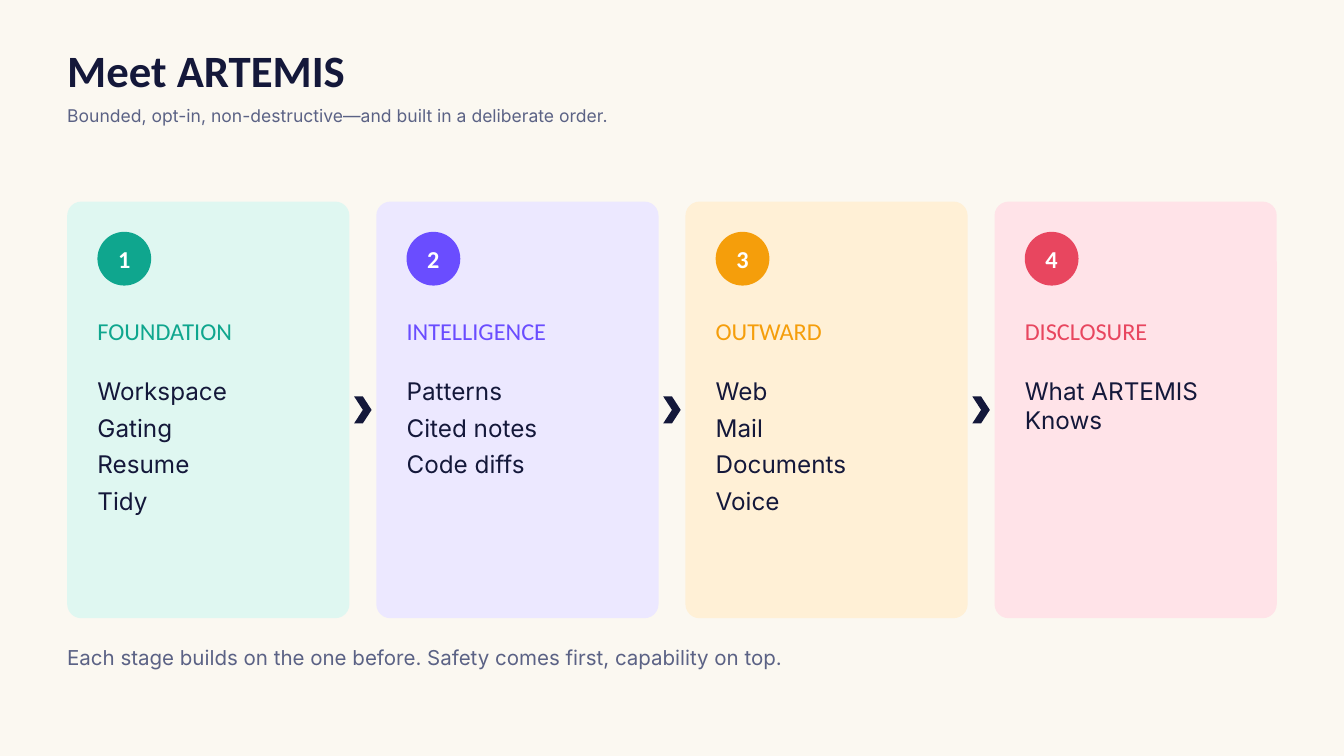
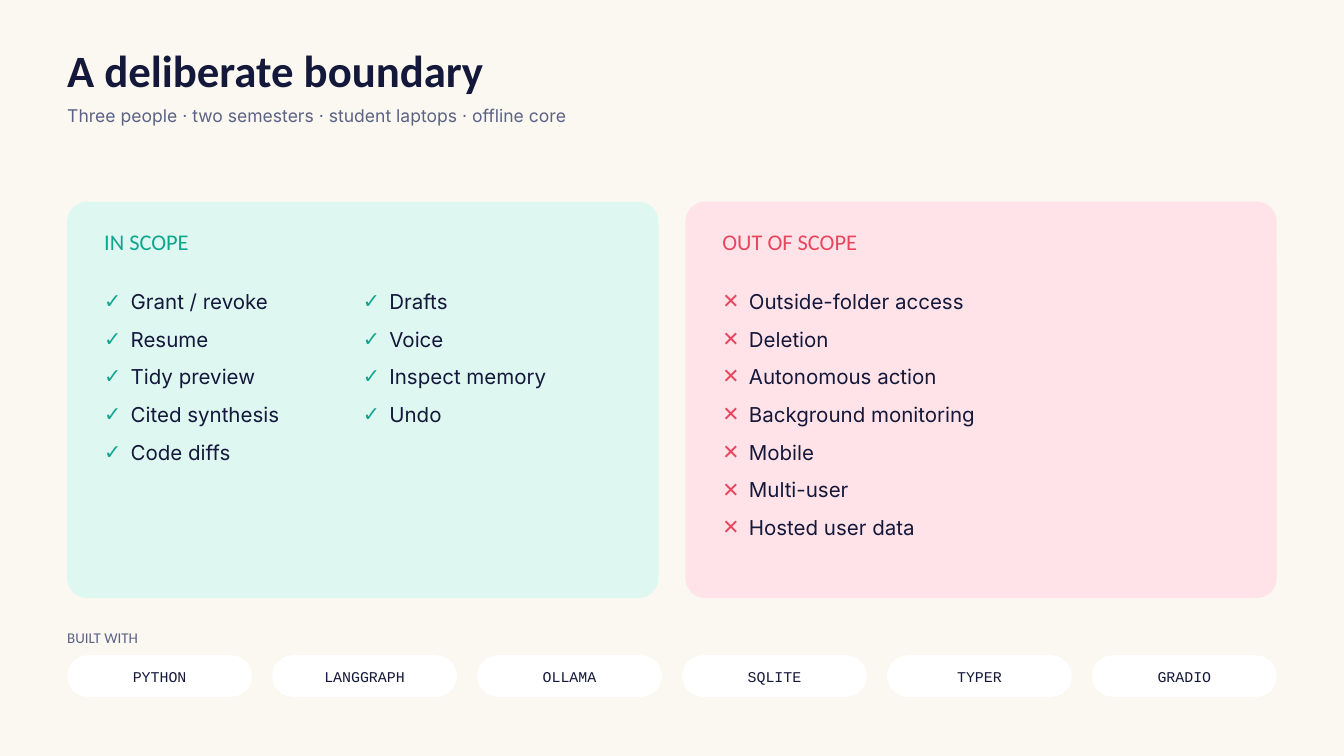
from lxml import etree
from pptx import Presentation
from pptx.dml.color import RGBColor
from pptx.enum import shapes, text
from pptx.oxml import ns
from pptx.util import Pt

COLORS = {
    "paper": "FBF8F1", "ink": "14183A", "muted": "5B6285", "white": "FFFFFF",
    "teal": "0FA68E", "teal_pale": "DFF7F1",
    "violet": "6A4DFF", "violet_pale": "ECE8FF",
    "amber": "F59E0B", "amber_pale": "FFF0D6",
    "red": "E8465F", "red_pale": "FFE3E8",
}
HEADING_FONT, BODY_FONT, CODE_FONT, MARK_FONT = "Calibri", "Inter", "Courier New", "Cabin"

LEFT, CONTENT_WIDTH, GAP = 72, 1296, 28.8
CARD_TOP = 216

STAGES = [
    ("FOUNDATION", "teal", ["Workspace", "Gating", "Resume", "Tidy"]),
    ("INTELLIGENCE", "violet", ["Patterns", "Cited notes", "Code diffs"]),
    ("OUTWARD", "amber", ["Web", "Mail", "Documents", "Voice"]),
    ("DISCLOSURE", "red", ["What ARTEMIS Knows"]),
]
IN_SCOPE = [
    ["Grant / revoke", "Resume", "Tidy preview", "Cited synthesis", "Code diffs"],
    ["Drafts", "Voice", "Inspect memory", "Undo"],
]
OUT_OF_SCOPE = [
    ["Outside-folder access", "Deletion", "Autonomous action", "Background monitoring",
     "Mobile", "Multi-user", "Hosted user data"],
]
SCOPES = [
    ("IN SCOPE", "teal", "✓", IN_SCOPE, 270),
    ("OUT OF SCOPE", "red", "✕", OUT_OF_SCOPE, 547.2),
]
TOOLS = ["PYTHON", "LANGGRAPH", "OLLAMA", "SQLITE", "TYPER", "GRADIO"]


def rgb(name):
    return RGBColor.from_string(COLORS[name])


def columns(count, gap):
    """Return the left edges and the common width of equal columns."""
    width = (CONTENT_WIDTH - (count - 1) * gap) / count
    return [LEFT + index * (width + gap) for index in range(count)], width


def place(shape, left, top, width, height):
    shape.left, shape.top = Pt(left), Pt(top)
    shape.width, shape.height = Pt(width), Pt(height)


def format_text(shape, size, color, font=BODY_FONT, bold=False, centred=False,
                line_spacing=None, space_after=0):
    frame = shape.text_frame
    frame.margin_left = frame.margin_right = frame.margin_top = frame.margin_bottom = 0
    frame.word_wrap = True
    frame.auto_size = text.MSO_AUTO_SIZE.NONE
    frame.vertical_anchor = text.MSO_ANCHOR.MIDDLE if centred else text.MSO_ANCHOR.TOP
    for paragraph in frame.paragraphs:
        paragraph.alignment = text.PP_ALIGN.CENTER if centred else text.PP_ALIGN.LEFT
        paragraph.space_before = Pt(0)
        paragraph.space_after = Pt(space_after)
        if line_spacing:
            paragraph.line_spacing = Pt(line_spacing)
        for run in paragraph.runs:
            run.font.name, run.font.size, run.font.bold = font, Pt(size), bold
            run.font.color.rgb = rgb(color)


def add_label(slide, content, box, size, color, **style):
    label = slide.shapes.add_textbox(*map(Pt, box))
    label.text_frame.text = content
    format_text(label, size, color, **style)


def add_shape(slide, kind, box, fill, corner=None):
    shape = slide.shapes.add_shape(kind, *map(Pt, box))
    shape.shadow.inherit = False
    shape.fill.solid()
    shape.fill.fore_color.rgb = rgb(fill)
    shape.line.fill.background()
    if corner is not None:
        shape.adjustments[0] = corner
    return shape


def add_card(slide, box, fill, corner=0.05):
    return add_shape(slide, shapes.MSO_SHAPE.ROUNDED_RECTANGLE, box, fill, corner)


def set_bullet(paragraph, mark, color):
    """Hang the paragraph on a coloured mark, or remove its bullet if mark is None."""
    properties = paragraph._p.get_or_add_pPr()
    indent = Pt(28.4) if mark else 0
    properties.set("marL", str(indent))
    properties.set("indent", str(-indent))
    if mark is None:
        etree.SubElement(properties, ns.qn("a:buNone"))
        return
    bullet_color = etree.SubElement(properties, ns.qn("a:buClr"))
    etree.SubElement(bullet_color, ns.qn("a:srgbClr"), val=COLORS[color])
    etree.SubElement(properties, ns.qn("a:buFont"), typeface=MARK_FONT)
    etree.SubElement(properties, ns.qn("a:buChar"), char=mark)


def fill_list(placeholder, items, box, size, space_after, mark=None, color=None):
    placeholder.element.getparent().append(placeholder.element)  # in front of its card
    place(placeholder, *box)
    placeholder.text_frame.text = "\n".join(items)
    for paragraph in placeholder.text_frame.paragraphs:
        set_bullet(paragraph, mark, color)
    format_text(placeholder, size, "ink", space_after=space_after)


def add_slide(presentation, title, subtitle):
    """Add a titled slide; return it with its unused body placeholders."""
    layout = presentation.slide_layouts.get_by_name("Comparison")
    slide = presentation.slides.add_slide(layout)
    heading = slide.shapes.title
    heading.text_frame.text = title
    place(heading, LEFT, 52.56, 1124.64, 59.04)
    format_text(heading, 48, "ink", HEADING_FONT, bold=True, line_spacing=50.4)
    add_label(slide, subtitle, (LEFT, 110.16, 1124.64, 24.48), 18.8, "muted", line_spacing=25.3)
    return slide, list(slide.placeholders)[1:]


def build_stages(presentation):
    slide, bodies = add_slide(
        presentation, "Meet ARTEMIS",
        "Bounded, opt-in, non-destructive—and built in a deliberate order.")
    lefts, width = columns(len(STAGES), GAP)
    height, inset = 446.4, 32.4
    arrow_width, arrow_height = 18.72, 28.8
    inner_width = width - 2 * inset
    for number, (left, body, stage) in enumerate(zip(lefts, bodies, STAGES), start=1):
        name, color, items = stage
        inner = left + inset
        add_card(slide, (left, CARD_TOP, width, height), color + "_pale")
        badge = add_shape(slide, shapes.MSO_SHAPE.OVAL,
                          (inner, CARD_TOP + inset, 57.6, 57.6), color)
        badge.text_frame.text = str(number)
        format_text(badge, 26, "white", HEADING_FONT, bold=True, centred=True)
        add_label(slide, name, (inner, 338.4, inner_width, 43.2), 26, color, font=HEADING_FONT)
        fill_list(body, items, (inner, 403.2, inner_width, 244.8), 26, 8)
        if number < len(STAGES):
            arrow_left = left + width + (GAP - arrow_width) / 2
            arrow_top = CARD_TOP + (height - arrow_height) / 2
            add_shape(slide, shapes.MSO_SHAPE.CHEVRON,
                      (arrow_left, arrow_top, arrow_width, arrow_height), "ink")
    add_label(slide, "Each stage builds on the one before. Safety comes first, capability on top.",
              (LEFT, 691.2, CONTENT_WIDTH, 36), 22, "muted")


def build_boundary(presentation):
    slide, bodies = add_slide(
        presentation, "A deliberate boundary",
        "Three people · two semesters · student laptops · offline core")
    lefts, width = columns(len(SCOPES), GAP)
    for left, (name, color, mark, lists, list_width) in zip(lefts, SCOPES):
        inner = left + 39.6
        add_card(slide, (left, CARD_TOP, width, 424.8), color + "_pale")
        add_label(slide, name, (inner, 244.8, 504, 36), 24, color, font=HEADING_FONT)
        for index, items in enumerate(lists):
            box = (inner + index * 277.2, 309.6, list_width, 316.8)
            fill_list(bodies.pop(0), items, box, 22, 14, mark, color)
    for body in bodies:
        body.element.getparent().remove(body.element)

    add_label(slide, "BUILT WITH", (LEFT, 673.2, 288, 28.8), 16, "muted", font=HEADING_FONT)
    lefts, width = columns(len(TOOLS), 21.6)
    for left, tool in zip(lefts, TOOLS):
        pill = add_card(slide, (left, 702, width, 44.64), "white", corner=0.5)
        pill.text_frame.text = tool
        format_text(pill, 16, "ink", CODE_FONT, centred=True)


def main():
    presentation = Presentation()
    presentation.slide_width, presentation.slide_height = Pt(1440), Pt(810)
    background = presentation.slide_master.background.fill
    background.solid()
    background.fore_color.rgb = rgb("paper")
    build_stages(presentation)
    build_boundary(presentation)
    presentation.save("out.pptx")


if __name__ == "__main__":
    main()
